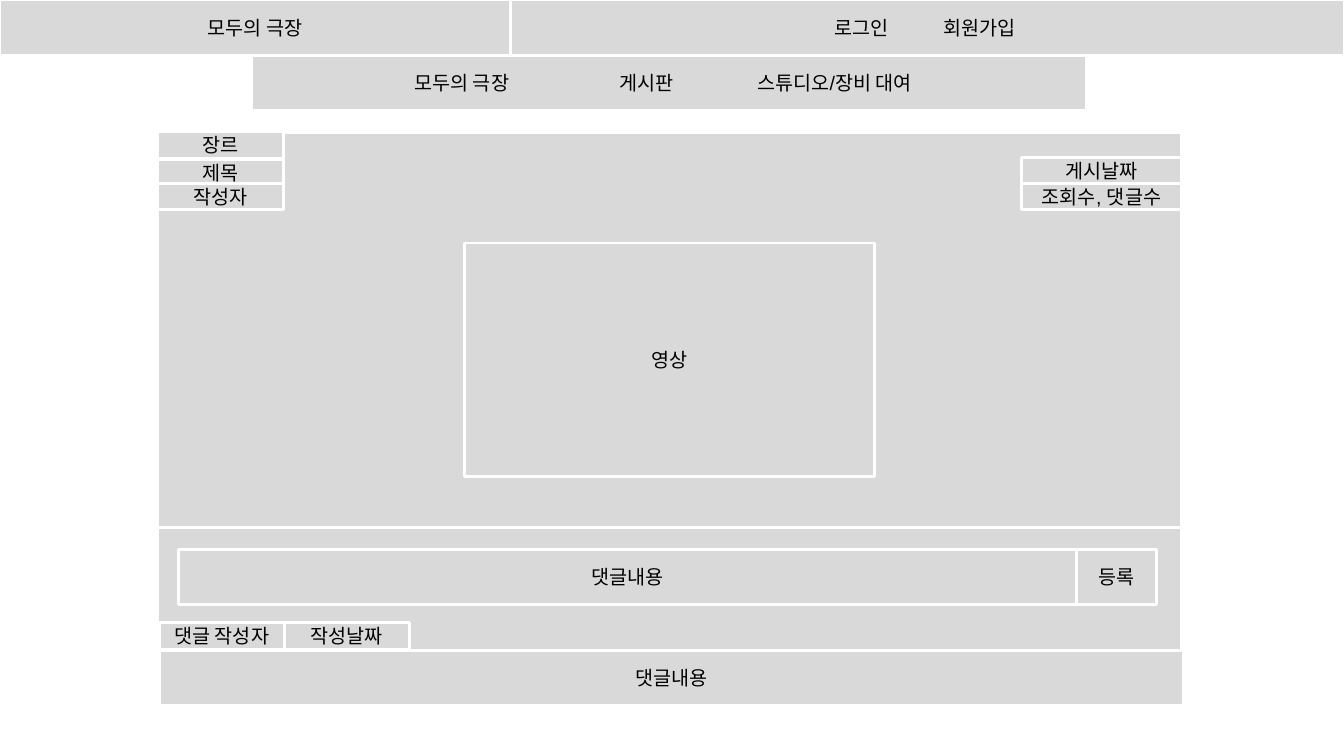
from lxml.etree import Element, SubElement
from pptx import Presentation
from pptx.dml.color import RGBColor
from pptx.enum.shapes import MSO_SHAPE
from pptx.enum.text import MSO_ANCHOR, PP_ALIGN
from pptx.oxml.ns import qn
from pptx.util import Inches, Pt

COLORS = {"panel": "D9D9D9", "border": "FFFFFF", "text": "000000"}
BAR_HEIGHT = 0.55
LABEL_HEIGHT = 0.26


def add_panel(slide, left, top, width, height, label=""):
    """Draw one grey wireframe panel with a centred label."""
    panel = slide.shapes.add_shape(
        MSO_SHAPE.RECTANGLE, Inches(left), Inches(top), Inches(width), Inches(height)
    )
    panel.shadow.inherit = False
    panel.fill.solid()
    panel.fill.fore_color.rgb = RGBColor.from_string(COLORS["panel"])
    panel.line.color.rgb = RGBColor.from_string(COLORS["border"])
    panel.line.width = Pt(2)
    if label:
        panel.text_frame.vertical_anchor = MSO_ANCHOR.MIDDLE
        paragraph = panel.text_frame.paragraphs[0]
        paragraph.text = label
        paragraph.alignment = PP_ALIGN.CENTER
        paragraph.font.name = "Arial"
        paragraph.font.size = Pt(14)
        paragraph.font.color.rgb = RGBColor.from_string(COLORS["text"])
    return panel


def add_menu(slide, left, top, width, height, items):
    """Draw a bar whose (offset, label) items are spaced by tab stops."""
    menu = add_panel(slide, left, top, width, height, "\t".join(label for _, label in items))
    first_offset = items[0][0]
    menu.text_frame.margin_left = Inches(first_offset)
    paragraph = menu.text_frame.paragraphs[0]
    paragraph.alignment = PP_ALIGN.LEFT
    tab_list = Element(qn("a:tabLst"))
    for offset, _ in items[1:]:
        SubElement(tab_list, qn("a:tab"), pos=str(Inches(offset - first_offset)), algn="l")
    paragraph._p.get_or_add_pPr().insert(0, tab_list)


def add_header(slide, left, top, width):
    """Place the site title, account menu and navigation bar."""
    title_width, menu_width = 5.06, 8.28
    add_panel(slide, left, top, title_width, BAR_HEIGHT, "모두의 극장")
    add_menu(slide, left + title_width, top, width - title_width, BAR_HEIGHT,
             [(3.22, "로그인"), (4.3, "회원가입")])
    add_menu(slide, left + 2.5, top + BAR_HEIGHT, menu_width, BAR_HEIGHT,
             [(1.61, "모두의 극장"), (3.64, "게시판"), (5.01, "스튜디오/장비 대여")])


def add_post(slide, left, top, width, height):
    """Place the post with its details and video."""
    add_panel(slide, left, top, width, height)
    for offset, label in [(-0.01, "장르"), (0.26, "제목"), (0.5, "작성자")]:
        add_panel(slide, left, top + offset, 1.25, LABEL_HEIGHT, label)
    stats_width = 1.59
    for row, label in enumerate(["게시날짜", "조회수, 댓글수"]):
        add_panel(slide, left + width - stats_width, top + 0.24 + row * LABEL_HEIGHT,
                  stats_width, LABEL_HEIGHT, label)
    video_width = 4.07
    add_panel(slide, left + (width - video_width) / 2, top + 1.09, video_width, 2.32, "영상")


def add_comments(slide, left, top, width, height):
    """Place the comment form and the first posted comment."""
    add_panel(slide, left, top, width, height)
    comment_left, author_width = left + 0.02, 1.24
    for column, label in enumerate(["댓글 작성자", "작성날짜"]):
        add_panel(slide, comment_left + column * author_width, top + 0.95,
                  author_width, LABEL_HEIGHT, label)
    add_panel(slide, comment_left, top + 1.22, width, BAR_HEIGHT, "댓글내용")
    form_left, form_top, input_width = left + 0.21, top + 0.22, 8.91
    add_panel(slide, form_left, form_top, input_width, BAR_HEIGHT, "댓글내용")
    add_panel(slide, form_left + input_width, form_top, 0.79, BAR_HEIGHT, "등록")


def main():
    """Build the video post page and save it."""
    presentation = Presentation()
    presentation.slide_width = Inches(13.33)
    presentation.slide_height = Inches(7.5)
    slide = presentation.slides.add_slide(presentation.slide_layouts[6])
    content_left, content_width = 1.56, 10.16
    add_header(slide, 0, 0, 13.33)
    add_post(slide, content_left, 1.32, content_width, 3.91)
    add_comments(slide, content_left, 5.23, content_width, 1.76)
    presentation.save("out.pptx")


if __name__ == "__main__":
    main()
